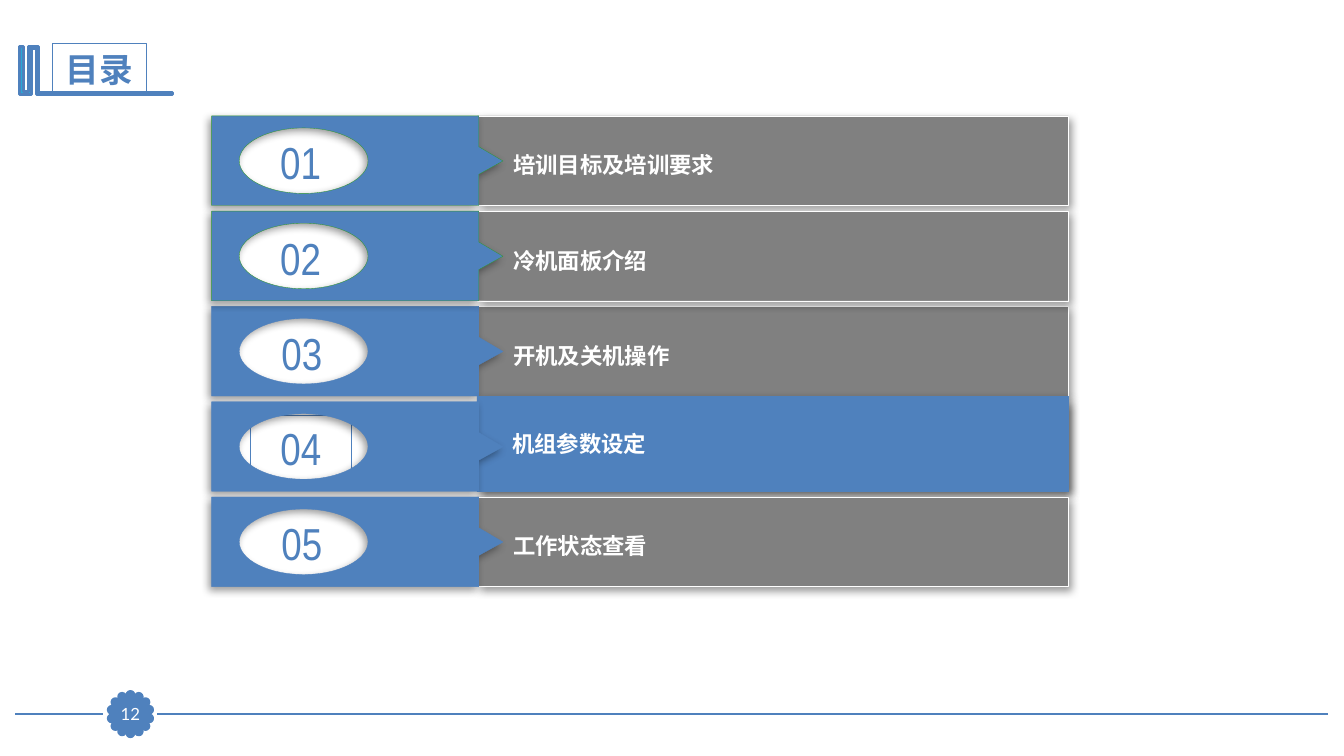
import math
from dataclasses import dataclass

import pptx
import pptx.dml.color
import pptx.enum.shapes
import pptx.enum.text
import pptx.oxml.ns
import pptx.util
from lxml import etree

Pt = pptx.util.Pt
Shapes = pptx.enum.shapes.MSO_SHAPE
Align = pptx.enum.text.PP_ALIGN
Anchor = pptx.enum.text.MSO_ANCHOR
AutoSize = pptx.enum.text.MSO_AUTO_SIZE
qn = pptx.oxml.ns.qn

COLORS = {
    "blue": "4F81BD",
    "cyan": "28A9D6",
    "green": "339933",
    "gray": "808080",
    "white": "FFFFFF",
    "black": "000000",
}
FIRST_TOP, PITCH, ROW_HEIGHT = 82.8, 68.05, 64
PANEL_LEFT, PANEL_WIDTH = 340.6, 422.6
HIGHLIGHT_RISE = 4
WINDOW_X, WINDOW_RADIUS_X, WINDOW_RADIUS_Y = 216.9, 46, 23.4
CURVE = 0.55
RULE_Y = 510.2
BADGE_X, BADGE_Y, BADGE_RADIUS = 93.2, 510.1, 13.7
DOT_COUNT, DOT_SIZE = 14, 5
BRACKET = [
    (26.6, 33.1), (27.4, 33.1), (27.4, 66.2), (123.1, 66.2), (123.1, 67.7),
    (26.6, 67.7), (25.9, 67.7), (25.9, 34.6), (22.3, 34.6), (22.3, 67.7),
    (13.7, 67.7), (13.7, 33.1), (16.6, 33.1), (16.6, 65.5), (20.2, 65.5),
    (20.2, 33.1),
]


@dataclass
class Section:
    number: str
    label: str
    edge: str = "blue"
    number_left: float = 179.3
    number_width: float = 72.7
    label_width: float = 404
    current: bool = False

    @property
    def top(self) -> float:
        return FIRST_TOP + PITCH * (int(self.number) - 1)


SECTIONS = [
    Section("01", "培训目标及培训要求", "green", 181.2, 67),
    Section("03", "开机及关机操作", label_width=137.5),
    Section("02", "冷机面板介绍", "green", 181.2, 67),
    Section("04", "机组参数设定", number_left=178.6, current=True),
    Section("05", "工作状态查看"),
]


def color(name: str):
    return pptx.dml.color.RGBColor.from_string(COLORS[name])


def paint(shape, fill: str, line: str, weight: float) -> None:
    shape.shadow.inherit = False
    shape.fill.solid()
    shape.fill.fore_color.rgb = color(fill)
    shape.line.color.rgb = color(line)
    shape.line.width = Pt(weight)


def cast_shadow(shape, degrees: int) -> None:
    effects = shape._element.spPr.find(qn("a:effectLst"))
    shadow = etree.SubElement(
        effects, qn("a:outerShdw"), blurRad=str(Pt(6)), dist=str(Pt(3)),
        dir=str(degrees * 60000), algn="ctr", rotWithShape="0")
    tint = etree.SubElement(shadow, qn("a:srgbClr"), val=COLORS["black"])
    etree.SubElement(tint, qn("a:alpha"), val="40000")


def add_block(page, preset, left: float, top: float, width: float, height: float,
              fill: str, line: str, weight: float):
    shape = page.shapes.add_shape(preset, Pt(left), Pt(top), Pt(width), Pt(height))
    paint(shape, fill, line, weight)
    return shape


def add_outline(page, *contours):
    first, *others = [[(Pt(x), Pt(y)) for x, y in contour] for contour in contours]
    builder = page.shapes.build_freeform(*first[0])
    builder.add_line_segments(first[1:], close=True)
    for contour in others:
        builder.move_to(*contour[0])
        builder.add_line_segments(contour[1:], close=True)
    return builder.convert_to_shape()


def round_window(tab, corners: list, center: tuple) -> None:
    segments = list(tab._element.iter(qn("a:lnTo")))
    for segment, start, end in zip(segments, corners, corners[1:]):
        curve = etree.Element(qn("a:cubicBezTo"))
        controls = [
            [a + CURVE * (b - c) for a, b, c in zip(start, end, center)],
            [b + CURVE * (a - c) for a, b, c in zip(start, end, center)],
        ]
        for x, y in controls:
            etree.SubElement(curve, qn("a:pt"), x=str(Pt(x) - tab.left),
                             y=str(Pt(y) - tab.top))
        curve.append(segment[0])
        segment.getparent().replace(segment, curve)


def write(shape, text: str, size: float, font: str, ink: str, bold: bool = False,
          align=Align.LEFT, anchor=Anchor.MIDDLE, grow: bool = False) -> None:
    frame = shape.text_frame
    frame.word_wrap = True
    frame.vertical_anchor = anchor
    frame.auto_size = AutoSize.SHAPE_TO_FIT_TEXT if grow else AutoSize.NONE
    para = frame.paragraphs[0]
    para.alignment = align
    span = para.add_run()
    span.text = text
    span.font.size = Pt(size)
    span.font.name = font
    span.font.bold = bold
    span.font.color.rgb = color(ink)


def add_rule(page, start: float, end: float) -> None:
    rule = page.shapes.add_connector(
        pptx.enum.shapes.MSO_CONNECTOR.STRAIGHT,
        Pt(start), Pt(RULE_Y), Pt(end), Pt(RULE_Y))
    rule.line.color.rgb = color("blue")
    rule.line.width = Pt(1.25)
    etree.SubElement(rule._element.spPr, qn("a:effectLst"))


def add_badge(page, number: str) -> None:
    for index in range(DOT_COUNT):
        angle = 2 * math.pi * index / DOT_COUNT
        add_block(page, Shapes.OVAL,
                  BADGE_X + BADGE_RADIUS * math.sin(angle) - DOT_SIZE / 2,
                  BADGE_Y - BADGE_RADIUS * math.cos(angle) - DOT_SIZE / 2,
                  DOT_SIZE, DOT_SIZE, "blue", "blue", 2)
    center = add_block(page, Shapes.RECTANGLE, BADGE_X - 11.5, BADGE_Y - 11.2,
                       23, 22.4, "blue", "blue", 0.75)
    frame = center.text_frame
    frame.margin_left = frame.margin_right = frame.margin_top = frame.margin_bottom = 0
    write(center, number, 12, "Lato", "white", align=Align.CENTER)


def add_heading(page, text: str) -> None:
    title = page.shapes.title
    title.left, title.top, title.width, title.height = Pt(37.5), Pt(31), Pt(67), Pt(36.5)
    title.fill.background()
    title.line.color.rgb = color("blue")
    title.line.width = Pt(0.75)
    write(title, text, 24, "Arial Narrow", "blue", True, Align.CENTER)


def add_panel(page, top: float, height: float, fill: str, line: str):
    panel = add_block(page, Shapes.RECTANGLE, PANEL_LEFT, top, PANEL_WIDTH, height,
                      fill, line, 0.25)
    cast_shadow(panel, 45)
    return panel


def add_tab(page, section: Section) -> None:
    top = section.top
    center = (WINDOW_X, top + 32)
    corners = [(center[0] + WINDOW_RADIUS_X * x, center[1] + WINDOW_RADIUS_Y * y)
               for x, y in [(0, -1), (-1, 0), (0, 1), (1, 0), (0, -1)]]
    edge = [(151.2, top), (342, top), (342, top + 22), (359.3, top + 32.2),
            (342, top + 41.8), (342, top + ROW_HEIGHT), (151.2, top + ROW_HEIGHT)]
    tab = add_outline(page, corners, edge)
    round_window(tab, corners, center)
    paint(tab, "blue", section.edge, 0.25)
    cast_shadow(tab, 135)


def add_number(page, section: Section) -> None:
    box = page.shapes.add_textbox(Pt(section.number_left), Pt(section.top + 9.8),
                                  Pt(section.number_width), Pt(46))
    if section.current:
        box.line.color.rgb = color("blue")
        box.line.width = Pt(0.75)
    write(box, section.number, 32, "Arial Narrow", "blue", align=Align.CENTER, grow=True)


def add_section(page, section: Section) -> None:
    add_panel(page, section.top, ROW_HEIGHT, "gray",
              "blue" if section.current else "white")
    if section.current:
        add_number(page, section)
        highlight = add_panel(page, section.top - HIGHLIGHT_RISE,
                              ROW_HEIGHT + HIGHLIGHT_RISE, "blue", "blue")
        highlight.text_frame.margin_left = Pt(25.2)
        write(highlight, section.label, 16, "Lato", "white", True)
        add_tab(page, section)
    else:
        add_tab(page, section)
        add_number(page, section)
        label = page.shapes.add_textbox(Pt(359.6), Pt(section.top + 21.9),
                                        Pt(section.label_width), Pt(26.6))
        write(label, section.label, 16, "Lato", "white", True,
              anchor=Anchor.TOP, grow=True)


def main() -> None:
    deck = pptx.Presentation()
    deck.slide_width, deck.slide_height = Pt(960), Pt(540)
    page = deck.slides.add_slide(deck.slide_layouts[5])
    add_rule(page, 948.6, 112.5)
    add_rule(page, 73.4, 11)
    add_badge(page, "12")
    paint(add_outline(page, BRACKET), "cyan", "blue", 2)
    add_heading(page, "目录")
    for section in SECTIONS:
        add_section(page, section)
    deck.save("out.pptx")


if __name__ == "__main__":
    main()
